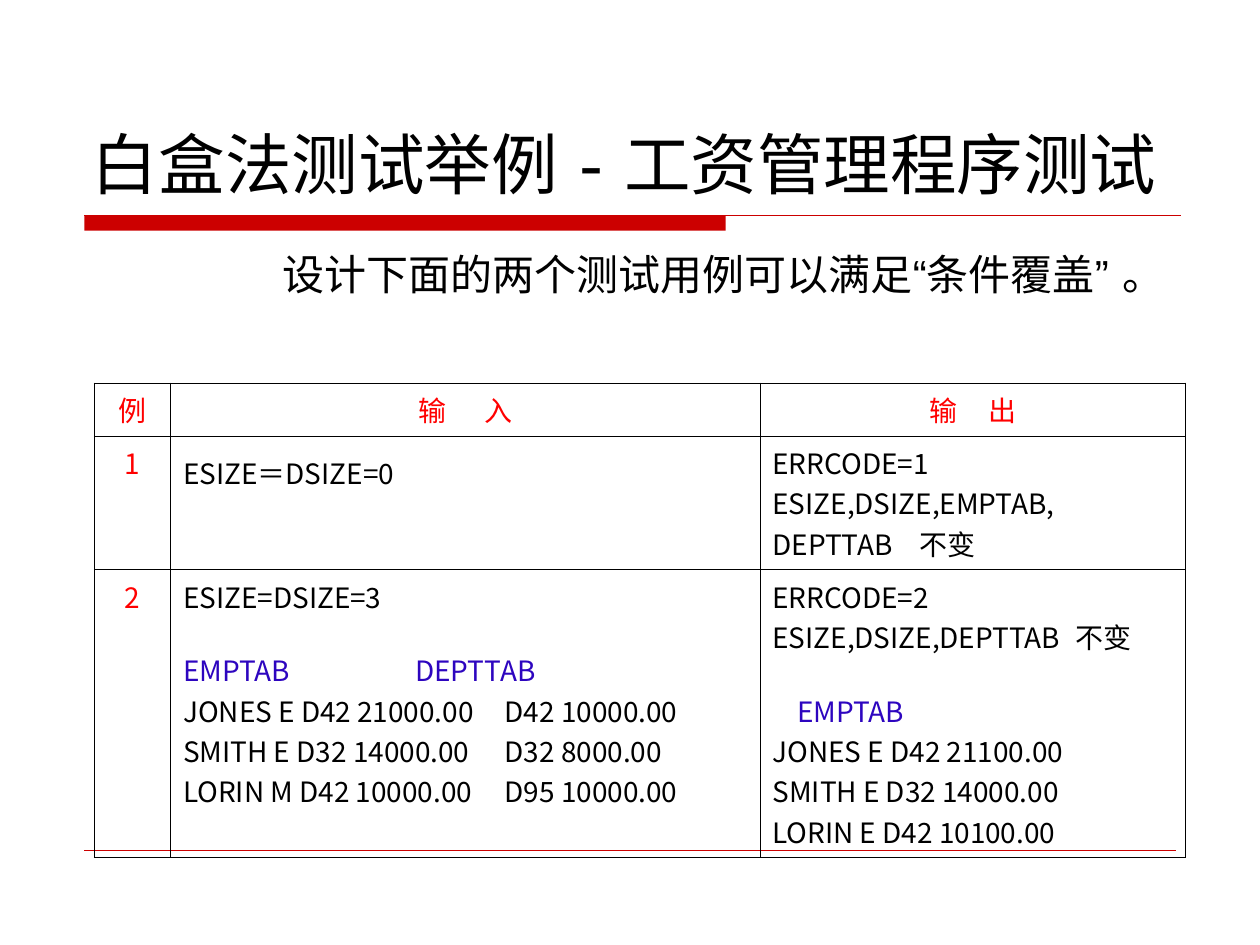
from lxml.etree import SubElement
from pptx import Presentation
from pptx.dml.color import RGBColor
from pptx.enum.lang import MSO_LANGUAGE_ID as Lang
from pptx.enum.shapes import MSO_CONNECTOR as Conn, MSO_SHAPE as Shape
from pptx.enum.text import MSO_ANCHOR as Anchor, MSO_AUTO_SIZE as Auto, PP_ALIGN as Align
from pptx.oxml.ns import qn
from pptx.util import Cm, Pt

BLACK, RED, BLUE, RULE = "000000", "FF0000", "2D05BF", "CC0000"
SANS, CJK, ARIAL = "DejaVu Sans", "Noto Sans CJK SC", "Arial"


def rgb(value):
    return RGBColor.from_string(value)


def add_run(p, text, size=16, font=CJK, color=BLACK, spacing=0):
    r = p.add_run()
    r.text = text
    f = r.font
    f.name, f.size, f.language_id = font, Pt(size), Lang.SIMPLIFIED_CHINESE
    f.color.rgb = rgb(color)
    rpr = f._element
    SubElement(rpr, qn("a:ea"), typeface=font)
    if spacing:
        rpr.set("spc", str(round(spacing * 100)))


def place(sp, left, top, width, height):
    sp.left, sp.top, sp.width, sp.height = map(Cm, (left, top, width, height))


def add_rule(slide, left, right, y, width):
    cx = slide.shapes.add_connector(Conn.STRAIGHT, Cm(left), Cm(y), Cm(right), Cm(y))
    cx.line.color.rgb = rgb(RULE)
    cx.line.width = Pt(width)
    SubElement(cx._element.spPr, qn("a:effectLst"))


def add_bar(slide, left, top, width, height):
    sp = slide.shapes.add_shape(Shape.RECTANGLE, Cm(left), Cm(top), Cm(width), Cm(height))
    sp.shadow.inherit = False
    sp.fill.solid()
    sp.fill.fore_color.rgb = rgb(RULE)
    sp.line.fill.background()


def fill_title(sp):
    place(sp, 1.6, 0.84, 22.22, 3.38)
    tf = sp.text_frame
    tf.auto_size, tf.vertical_anchor = Auto.NONE, Anchor.BOTTOM
    p = tf.paragraphs[0]
    p.alignment = Align.LEFT
    add_run(p, "白盒法测试举例 - 工资管理程序测试", 38, SANS)


def fill_body(sp):
    place(sp, 1.57, 4.88, 22.33, 2.46)
    tf = sp.text_frame
    tf.auto_size = Auto.NONE
    p = tf.paragraphs[0]
    ppr = p._p.get_or_add_pPr()
    ppr.set("marL", str(Cm(1.3)))
    ppr.set("indent", str(Cm(2.58)))
    SubElement(ppr, qn("a:buNone"))
    p.space_before = Pt(0)
    for text, font in (("设计下面的两个测试用例可以满足", SANS), ("“", ARIAL),
                       ("条件覆盖", SANS), ("”", ARIAL), (" 。", SANS)):
        add_run(p, text, 24, font)


def add_borders(cell):
    tcpr = cell._tc.get_or_add_tcPr()
    for side in ("lnL", "lnR", "lnT", "lnB"):
        ln = SubElement(tcpr, qn(f"a:{side}"), w=str(Pt(0.45)))
        SubElement(SubElement(ln, qn("a:solidFill")), qn("a:srgbClr"), val=BLACK)


def write_line(p, text, color=BLACK, gap=0, tab=0, before=0, indent=0, align=Align.LEFT):
    """gap widens the first space; tab sets the stop for the second column."""
    p.alignment = align
    ppr = p._p.get_or_add_pPr()
    if indent:
        ppr.set("marL", str(Cm(indent)))
    if tab:
        SubElement(SubElement(ppr, qn("a:tabLst")), qn("a:tab"), pos=str(Cm(tab)), algn="l")
    if before:
        p.space_before = Pt(before)
    if gap:
        first, text = text.split(" ", 1)
        add_run(p, first, color=color)
        add_run(p, " ", color=color, spacing=gap)
    add_run(p, text, color=color)


def fill_cell(cell, lines):
    add_borders(cell)
    cell.fill.background()
    tf = cell.text_frame
    for i, (text, opts) in enumerate(lines):
        p = tf.add_paragraph() if i else tf.paragraphs[0]
        write_line(p, text, **opts)


def add_cases(slide):
    head = {"color": RED, "align": Align.CENTER}
    sub = {"color": BLUE, "before": 19}
    record = {"tab": 6.48}
    rows = [
        [[("例", head)],
         [("输 入", {**head, "gap": 18.5})],
         [("输 出", {**head, "gap": 14.5})]],
        [[("1", head)],
         [("ESIZE＝DSIZE=0", {})],
         [("ERRCODE=1", {}), ("ESIZE,DSIZE,EMPTAB,", {}),
          ("DEPTTAB 不变", {"gap": 12})]],
        [[("2", head)],
         [("ESIZE=DSIZE=3", {}),
          ("EMPTAB\tDEPTTAB", {**sub, "tab": 4.68}),
          ("JONES E D42 21000.00\tD42 10000.00", record),
          ("SMITH E D32 14000.00\tD32 8000.00", record),
          ("LORIN M D42 10000.00\tD95 10000.00", record)],
         [("ERRCODE=2", {}), ("ESIZE,DSIZE,DEPTTAB 不变", {"gap": 5}),
          ("EMPTAB", {**sub, "indent": 0.5}),
          ("JONES E D42 21100.00", {}), ("SMITH E D32 14000.00", {}),
          ("LORIN E D42 10100.00", {})]],
    ]
    widths, heights = (1.54, 11.88, 8.58), (1.02, 2.31, 5.59)
    table = slide.shapes.add_table(3, 3, Cm(1.9), Cm(7.72), Cm(sum(widths)),
                                   Cm(sum(heights))).table
    table.first_row = table.horz_banding = False
    for col, width in zip(table.columns, widths):
        col.width = Cm(width)
    for row, height, cells in zip(table.rows, heights, rows):
        row.height = Cm(height)
        for cell, lines in zip(row.cells, cells):
            fill_cell(cell, lines)
    table.cell(1, 1).margin_top = Cm(0.33)


def main():
    prs = Presentation()
    prs.slide_width, prs.slide_height = Cm(25.4), Cm(19.05)
    slide = prs.slides.add_slide(prs.slide_layouts[1])
    # Title and lead sentence
    fill_title(slide.shapes.title)
    fill_body(slide.placeholders[1])
    # Red rules under the title and at the foot
    add_bar(slide, 1.7, 4.34, 12.93, 0.31)
    add_rule(slide, 1.7, 23.8, 4.34, 0.75)
    add_rule(slide, 1.7, 23.7, 17.15, 0.25)
    # Test cases
    add_cases(slide)
    prs.save("out.pptx")


if __name__ == "__main__":
    main()
